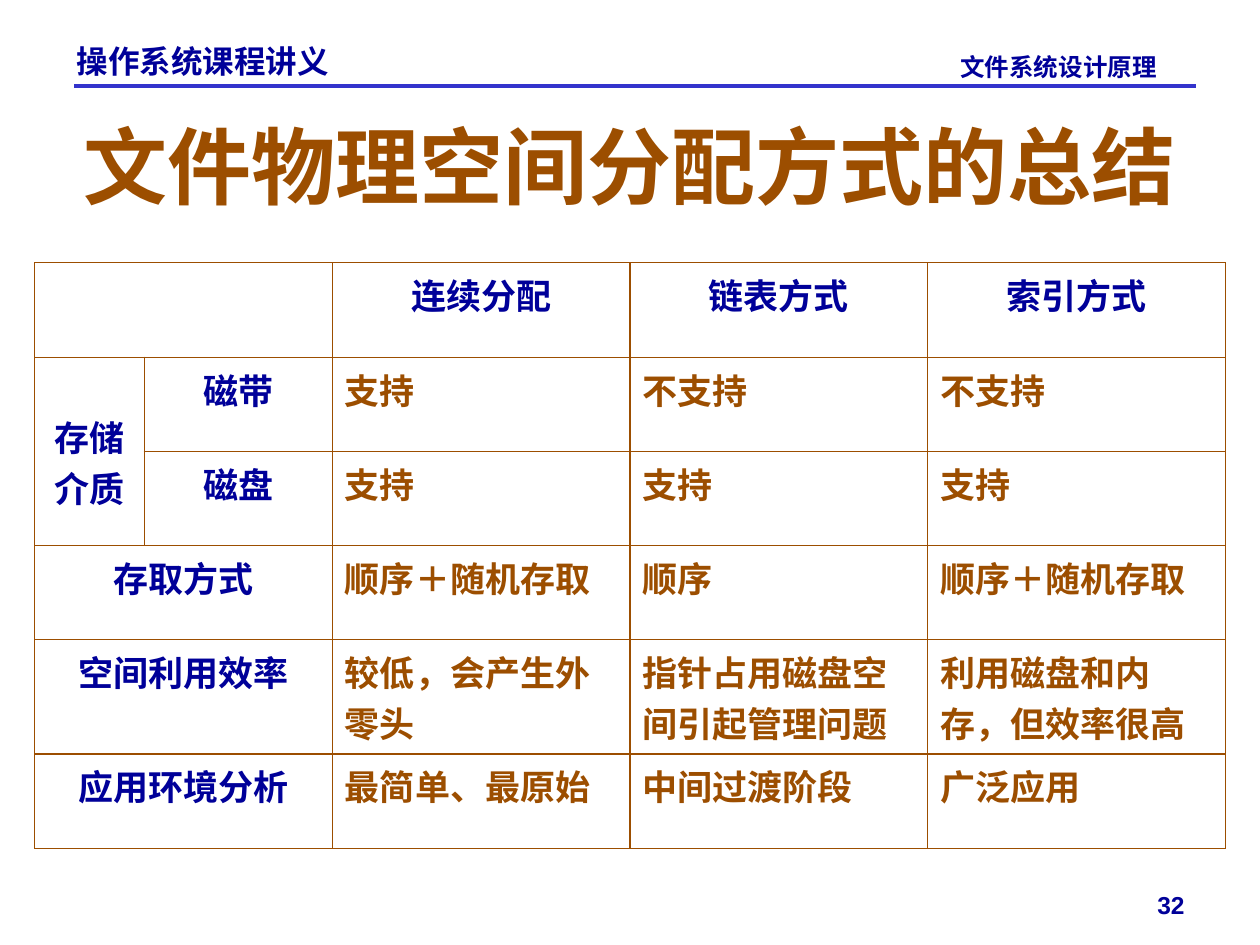
from dataclasses import dataclass

from lxml.etree import SubElement
from pptx import Presentation
from pptx.dml.color import RGBColor
from pptx.enum.shapes import MSO_CONNECTOR
from pptx.enum.text import MSO_ANCHOR as Anchor, MSO_AUTO_SIZE as AutoSize, PP_ALIGN as Align
from pptx.oxml import parse_xml
from pptx.oxml.ns import nsdecls, qn
from pptx.util import Cm, Pt


@dataclass(frozen=True)
class Theme:
    navy: str = "000099"
    brown: str = "9C4E00"
    rule: str = "3333CC"
    heading_font: str = "Karla"
    running_font: str = "Arial"
    title: int = 48
    cell: int = 20
    course: int = 18
    small: int = 14


theme = Theme()


def write(frame, text, size, color, font, align=Align.LEFT, anchor=Anchor.TOP):
    """Put one bold run into a text frame, with punctuation kept inside the margins."""
    frame.word_wrap = True
    frame.vertical_anchor = anchor
    paragraph = frame.paragraphs[0]
    paragraph.alignment = align
    paragraph._p.get_or_add_pPr().set("hangingPunct", "0")
    run = paragraph.add_run()
    run.text = text
    run.font.size = Pt(size)
    run.font.bold = True
    run.font.name = font
    run.font.color.rgb = RGBColor.from_string(color)


def draw_borders(cell, widths):
    """Line the cell; widths are points for left, right, top and bottom."""
    properties = cell._tc.get_or_add_tcPr()
    for position, (side, width) in enumerate(zip("LRTB", widths)):
        properties.insert(position, parse_xml(
            f'<a:ln{side} {nsdecls("a")} w="{Pt(width)}"><a:solidFill>'
            f'<a:srgbClr val="{theme.brown}"/></a:solidFill></a:ln{side}>'))


deck = Presentation()
deck.slide_width, deck.slide_height = Cm(25.4), Cm(19.05)
slide = deck.slides.add_slide(deck.slide_layouts[5])

# Page header and number
header_rule = slide.shapes.add_connector(
    MSO_CONNECTOR.STRAIGHT, Cm(1.5), Cm(1.73), Cm(24.1), Cm(1.73))
header_rule.line.color.rgb = RGBColor.from_string(theme.rule)
header_rule.line.width = Pt(2.25)
SubElement(header_rule._element.spPr, qn("a:effectLst"))

running_texts = [
    ("操作系统课程讲义", (1.3, 0.73, 6.2, 0.61), theme.course, Align.LEFT, Anchor.TOP),
    ("文件系统设计原理", (19.11, 0.93, 4.6, 0.81), theme.small, Align.LEFT, Anchor.TOP),
    ("32", (22.71, 17.35, 1.42, 1.32), theme.small, Align.RIGHT, Anchor.BOTTOM),
]
for text, place, size, align, anchor in running_texts:
    box = slide.shapes.add_textbox(*map(Cm, place))
    write(box.text_frame, text, size, theme.navy, theme.running_font, align, anchor)

# Title
title = slide.shapes.title
title.left, title.top, title.width, title.height = map(Cm, (0.89, 2.13, 23.6, 2.39))
title.text_frame.auto_size = AutoSize.NONE
write(title.text_frame, "文件物理空间分配方式的总结", theme.title, theme.brown,
      theme.heading_font, Align.CENTER, Anchor.MIDDLE)

# Comparison table: two label columns, then one column per allocation method
comparison = [
    ["", "", "连续分配", "链表方式", "索引方式"],
    ["存储介质", "磁带", "支持", "不支持", "不支持"],
    ["", "磁盘", "支持", "支持", "支持"],
    ["存取方式", "", "顺序＋随机存取", "顺序", "顺序＋随机存取"],
    ["空间利用效率", "", "较低，会产生外零头", "指针占用磁盘空间引起管理问题", "利用磁盘和内存，但效率很高"],
    ["应用环境分析", "", "最简单、最原始", "中间过渡阶段", "广泛应用"],
]
column_widths = [2.2, 3.8, 6, 6, 6]
row_heights = [1.9, 1.9, 1.9, 1.9, 2.3, 1.9]
media_rows = (1, 2)

table = slide.shapes.add_table(
    len(row_heights), len(column_widths), Cm(0.7), Cm(5.3),
    Cm(sum(column_widths)), Cm(sum(row_heights))).table
table.first_row = table.horz_banding = False
for column, width in zip(table.columns, column_widths):
    column.width = Cm(width)
for row, height in zip(table.rows, row_heights):
    row.height = Cm(height)

for r, labels in enumerate(comparison):
    for c, text in enumerate(labels):
        cell = table.cell(r, c)
        cell.fill.background()
        left = 0.45 if r in media_rows and c == 1 else 0.75
        right = 0.45 if r in media_rows and c == 0 else 0.75
        draw_borders(cell, (left, right, 0.75, 0.75))
        if text:
            is_label = r == 0 or c < 2
            write(cell.text_frame, text, theme.cell,
                  theme.navy if is_label else theme.brown, theme.heading_font,
                  Align.CENTER if is_label else Align.LEFT)
    if r not in media_rows:
        table.cell(r, 0).merge(table.cell(r, 1))

storage_media = table.cell(media_rows[0], 0)
storage_media.merge(table.cell(media_rows[-1], 0))
storage_media.margin_top = Cm(1.09)

deck.save("out.pptx")
